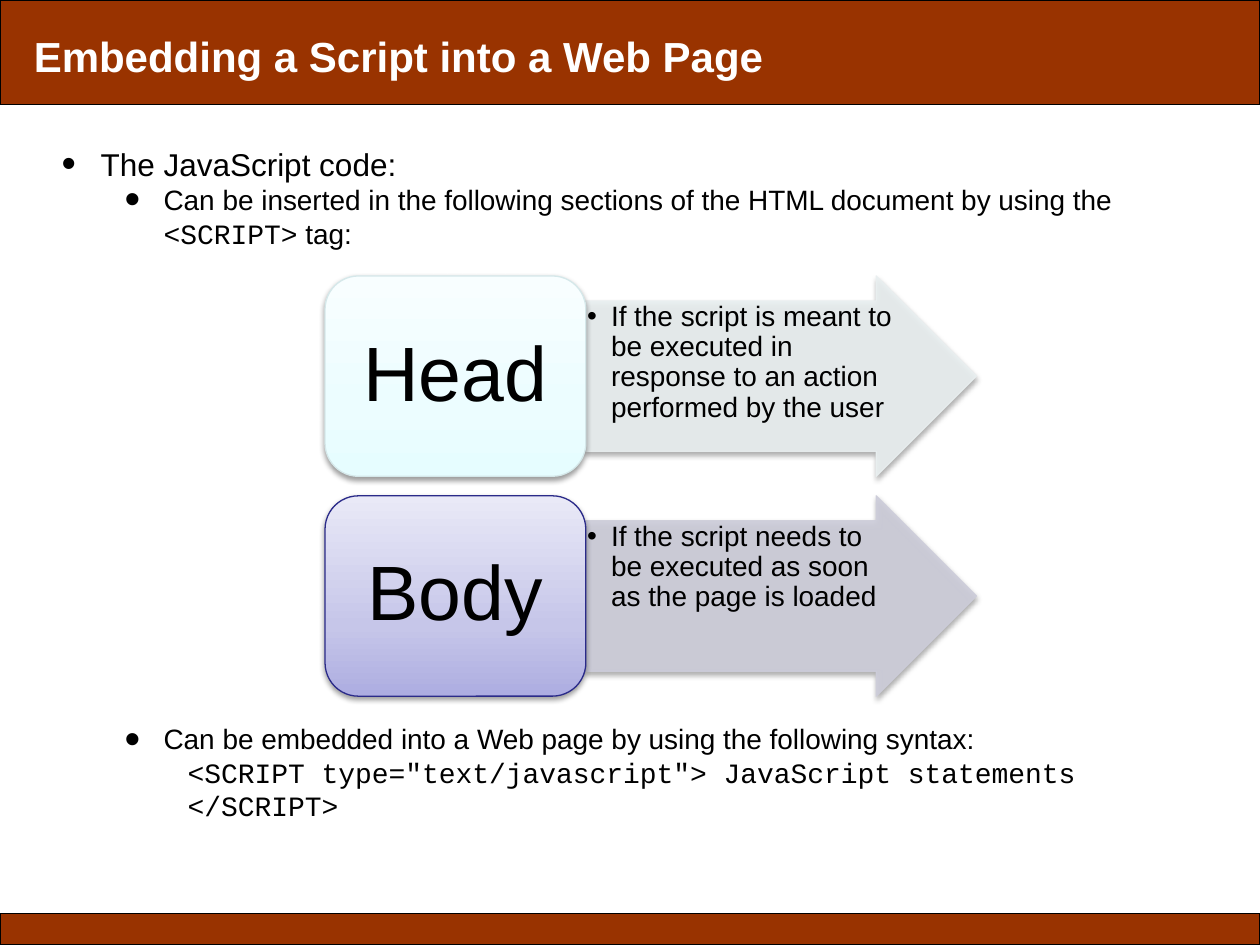
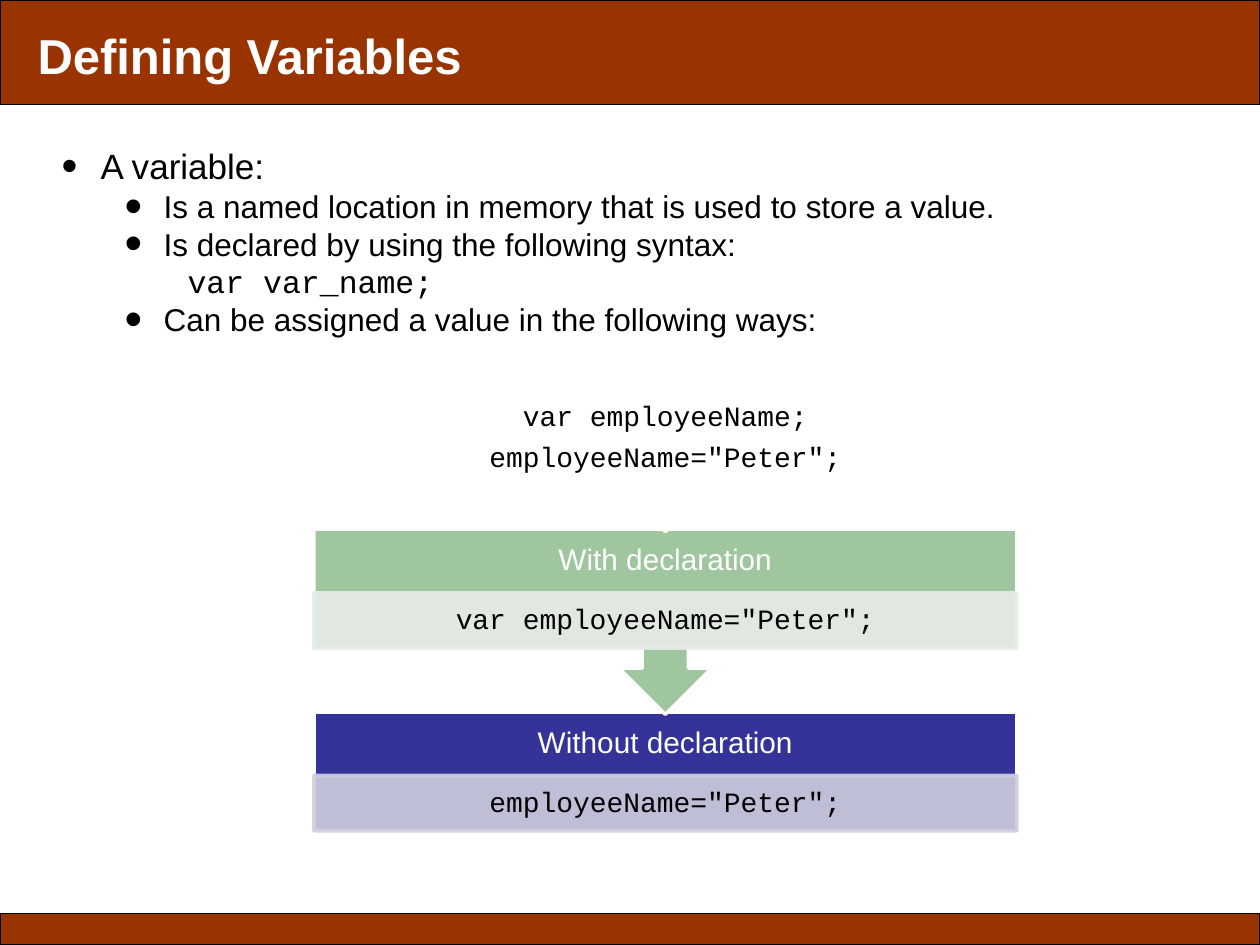
from dataclasses import dataclass

from lxml import etree
from pptx import Presentation
from pptx import util as u
from pptx.dml.color import RGBColor
from pptx.enum import shapes, text
from pptx.oxml import ns

KINDS = shapes.MSO_SHAPE
ALIGN = text.PP_ALIGN
ANCHOR = text.MSO_ANCHOR


@dataclass(frozen=True)
class Theme:
    """Colours, fonts, type sizes and line widths."""
    band: str = "993300"
    ink: str = "000000"
    paper: str = "FFFFFF"
    sans: str = "Arial"
    mono: str = "Courier New"
    thin: float = 0.75
    thick: float = 2
    small: int = 16
    caption: int = 17
    body: int = 18
    large: int = 20
    display: int = 44


# Paragraph formats by rank: level, left margin, first-line indent, bullet size
RANKS = {
    "plain": (0, 0, 0, None),
    "point": (0, 0.31, -0.31, 130),
    "sub": (1, 0.81, -0.31, 160),
    "code": (2, 1, 0, None),
    "note": (1, 0.19, -0.19, 100),
}


def add_node(parent, tag, **values):
    node = etree.SubElement(parent, ns.qn(tag))
    for name, value in values.items():
        node.set(name, str(value))
    return node


def assign(target, values):
    for name, value in values.items():
        setattr(target, name, value)


class Deck:
    """Holds the style and the current page; lengths are grid columns and rows."""
    COLUMNS, ROWS = 20, 15

    def __init__(self, theme):
        self.theme = theme
        self.file = Presentation()
        assign(self.file, {"slide_width": u.Inches(10), "slide_height": u.Inches(7.5)})
        self.page = None

    def place(self, left, top, width, height):
        column = self.file.slide_width / self.COLUMNS
        row = self.file.slide_height / self.ROWS
        return [round(v) for v in (left * column, top * row, width * column, height * row)]

    def start_page(self, title, size, left, top):
        """New page with both bands and its title."""
        t = self.theme
        self.page = self.file.slides.add_slide(self.file.slide_layouts[6])
        for y, height in ((14.5, 0.5), (0, 1.66)):
            self.shape(KINDS.RECTANGLE, (0, y, self.COLUMNS, height), t.band, t.ink)
        self.text_box((left, top, 14.66, 1), [("plain", size, [title])],
                      color=t.paper, bold=True)

    def shape(self, kind, area, fill, line, width=None, alpha=None, shadow=None):
        """Preset shape; a list of (position, colour) pairs gives a gradient fill."""
        item = self.page.shapes.add_shape(kind, *self.place(*area))
        item.shadow.inherit = False
        if isinstance(fill, list):
            self.gradient(item, fill)
        else:
            item.fill.solid()
            item.fill.fore_color.rgb = RGBColor.from_string(fill)
        item.line.color.rgb = RGBColor.from_string(line)
        item.line.width = u.Pt(width or self.theme.thin)
        if alpha:
            for color in list(item.element.spPr.iter(ns.qn("a:srgbClr"))):
                add_node(color, "a:alpha", val=alpha * 1000)
        if shadow:
            self.cast_shadow(item, *shadow)
        return item

    def gradient(self, item, stops):
        item.fill.gradient()
        item.fill.gradient_angle = 90
        stop_list = item.element.spPr.find(".//" + ns.qn("a:gsLst"))
        for old in list(stop_list):
            stop_list.remove(old)
        for position, color in stops:
            stop = add_node(stop_list, "a:gs", pos=position * 1000)
            add_node(stop, "a:srgbClr", val=color)

    def cast_shadow(self, item, alpha, distance):
        effects = item.element.spPr.find(ns.qn("a:effectLst"))
        outer = add_node(effects, "a:outerShdw", blurRad=u.Pt(3.1), dist=u.Pt(distance),
                         dir=90 * 60000, rotWithShape=0)
        color = add_node(outer, "a:srgbClr", val=self.theme.ink)
        add_node(color, "a:alpha", val=alpha * 1000)

    def text_box(self, area, lines, **style):
        box = self.page.shapes.add_textbox(*self.place(*area))
        self.set_text(box, lines, **style)

    def set_text(self, box, lines, color=None, bold=False, align=ALIGN.LEFT,
                 anchor=ANCHOR.TOP, inset=(0.1, 0.05), spacing=None, gap=0):
        """Fill a box with (rank, size, spans); a (text,) span is set in monospace."""
        t = self.theme
        frame = box.text_frame
        side, edge = map(u.Inches, inset)
        assign(frame, {"word_wrap": True, "vertical_anchor": anchor,
                       "margin_left": side, "margin_right": side,
                       "margin_top": edge, "margin_bottom": edge})
        for index, (rank, size, spans) in enumerate(lines):
            para = frame.add_paragraph() if index else frame.paragraphs[0]
            level, margin, indent, bullet = RANKS[rank]
            last = index == len(lines) - 1
            assign(para, {"level": level, "alignment": align, "line_spacing": spacing,
                          "space_after": u.Pt(0 if last else gap)})
            self.indent(para, margin, indent, bullet)
            for words in spans:
                if words == "\n":
                    para.add_line_break()
                    continue
                is_code = isinstance(words, tuple)
                span = para.add_run()
                span.text = words[0] if is_code else words
                assign(span.font, {"name": t.mono if is_code else t.sans,
                                   "size": u.Pt(size), "bold": bold})
                span.font.color.rgb = RGBColor.from_string(color or t.ink)

    def indent(self, para, margin, indent, bullet):
        props = para._p.get_or_add_pPr()
        props.set("marL", str(u.Inches(margin)))
        props.set("indent", str(u.Inches(indent)))
        if bullet:
            add_node(props, "a:buSzPct", val=bullet * 1000)
            add_node(props, "a:buFont", typeface=self.theme.sans)
            add_node(props, "a:buChar", char="•")
        else:
            add_node(props, "a:buNone")

    def section_row(self, top, name, note, stops, outline, arrow_color):
        """Rounded name block with an arrow that carries its note."""
        t = self.theme
        arrow = self.shape(KINDS.RIGHT_ARROW, (9.3, top, 6.2, 3.18), arrow_color,
                           arrow_color, alpha=90, shadow=(35, 1.8))
        arrow.adjustments[0] = 0.75
        self.text_box((9.3, top + 0.4, 5, 2.38), [("note", t.small, [note])],
                      inset=(0.01, 0.01), spacing=0.9)
        block = self.shape(KINDS.ROUNDED_RECTANGLE, (5.16, top, 4.14, 3.18), stops,
                           outline, shadow=(38, 1.6))
        self.set_text(block, [("plain", t.display, [name])], align=ALIGN.CENTER,
                      anchor=ANCHOR.MIDDLE, spacing=0.9)

    def step(self, top, kind, height, heading, code, fill, tint):
        """Callout with a heading and a strip of code."""
        t = self.theme
        left, width = 4.98, 11.16
        centred = {"align": ALIGN.CENTER, "anchor": ANCHOR.MIDDLE, "spacing": 0.9}
        callout = self.shape(kind, (left, top, width, height), fill, t.paper, t.thick)
        if kind == KINDS.UP_ARROW_CALLOUT:
            callout.rotation = 180
        if heading:
            self.text_box((left, top, width, 1.02), [("plain", t.caption, [heading])],
                          color=t.paper, inset=(0.13, 0.13), **centred)
        strip = self.shape(KINDS.RECTANGLE, (left, top + 1.01, width, 0.88), tint, tint,
                           t.thick, alpha=90)
        self.set_text(strip, [("plain", t.small, [(line,)]) for line in code],
                      inset=(0.12, 0.02), gap=6, **centred)


def script_page(deck):
    t = deck.theme
    deck.start_page("Embedding a Script into a Web Page", 24, 0.34, 0.38)
    deck.text_box((0.78, 2.2, 17.3, 1.8), [
        ("point", t.body, ["The JavaScript code:"]),
        ("sub", t.small, [
            "Can be inserted in the following sections of the HTML document by using the",
            "\n", ("<SCRIPT>",), " tag:"]),
    ])
    # Script sections
    sections = [
        ("Head", "If the script is meant to be executed in response to an action "
                 "performed by the user",
         [(0, "E6FDFF"), (35, "ECFDFF"), (100, "F8FEFF")], "D5E8EA", "E9EFF0"),
        ("Body", "If the script needs to be executed as soon as the page is loaded",
         [(0, "ADADE1"), (35, "C6C6E9"), (100, "E9E9F7")], "2A2A89", "CDCDDA"),
    ]
    for index, section in enumerate(sections):
        deck.section_row(4.38 + 3.49 * index, *section)
    # Syntax
    deck.text_box((0.78, 11.36, 17.3, 1.8), [
        ("sub", t.small, ["Can be embedded into a Web page by using the following syntax:"]),
        ("code", t.small, [('<SCRIPT type="text/javascript"> JavaScript statements',)]),
        ("code", t.small, [("</SCRIPT>",)]),
    ])


def variables_page(deck):
    t = deck.theme
    deck.start_page("Defining Variables", 28, 0.4, 0.3)
    deck.text_box((0.78, 2.2, 15.36, 3.3), [
        ("point", t.large, ["A variable:"]),
        ("sub", t.body, ["Is a named location in memory that is used to store a value."]),
        ("sub", t.body, ["Is declared by using the following syntax:"]),
        ("code", t.body, [("var var_name;",)]),
        ("sub", t.body, ["Can be assigned a value in the following ways:"]),
    ])
    # Ways to assign a value, the lowest step first
    callout = KINDS.UP_ARROW_CALLOUT
    assignment = 'employeeName="Peter";'
    steps = [
        (KINDS.RECTANGLE, 1.9, "Without declaration", [assignment], "333399", "CECEDE"),
        (callout, 2.94, "With declaration", ["var " + assignment], "9FC69F", "E8ECE8"),
        (callout, 2.94, None, ["var employeeName;", assignment], t.paper, t.paper),
    ]
    for index, step in enumerate(steps):
        deck.step(11.3 - 2.9 * index, *step)


def main():
    deck = Deck(Theme())
    script_page(deck)
    variables_page(deck)
    deck.file.save("out.pptx")


if __name__ == "__main__":
    main()
